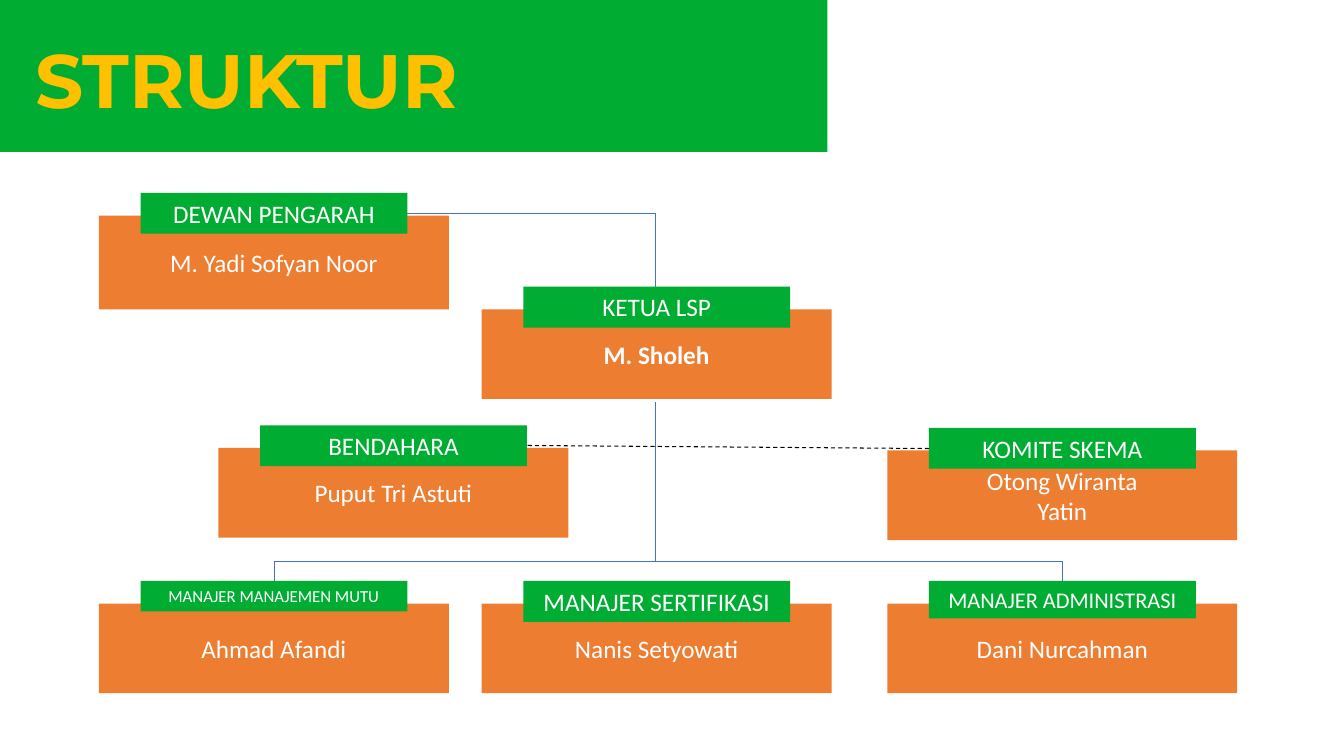
"""Builds the STRUKTUR organisation chart slide."""
from pptx import Presentation
from pptx.dml.color import RGBColor
from pptx.enum.dml import MSO_LINE
from pptx.enum.shapes import MSO_CONNECTOR as CONN, MSO_SHAPE as SHAPE
from pptx.enum.text import MSO_ANCHOR as ANCHOR, PP_ALIGN as ALIGN
from pptx.oxml.ns import qn
from pptx.util import Pt
from lxml.etree import SubElement

GREEN = RGBColor(0x00, 0xAC, 0x32)
ORANGE = RGBColor(0xED, 0x7D, 0x31)
YELLOW = RGBColor(0xFF, 0xC0, 0x00)
BLUE = RGBColor(0x44, 0x72, 0xC4)
WHITE = RGBColor(0xFF, 0xFF, 0xFF)
BLACK = RGBColor(0x00, 0x00, 0x00)

LEFT, MIDDLE, RIGHT = 70.6, 344, 633.8
MANAGERS_Y = 415
BOX_W, BOX_H = 250, 64
TAG_W, TAG_DX, TAG_DY = 190.6, 29.8, 16.2

# role, role size, people, bold, left, top of role tag, box height
POSTS = [
    ("DEWAN PENGARAH", 18, ["M. Yadi Sofyan Noor"], False, LEFT, 137.8, 67),
    ("KETUA LSP", 18, ["M. Sholeh"], True, MIDDLE, 204.8, BOX_H),
    ("KOMITE SKEMA", 18, ["Otong Wiranta", "Yatin"], False, RIGHT, 305.6, BOX_H),
    ("BENDAHARA", 18, ["Puput Tri Astuti"], False, 156, 303.8, BOX_H),
    ("MANAJER ADMINISTRASI", 16, ["Dani Nurcahman"], False, RIGHT, MANAGERS_Y, BOX_H),
    ("MANAJER SERTIFIKASI", 18, ["Nanis Setyowati"], False, MIDDLE, MANAGERS_Y, BOX_H),
    ("MANAJER MANAJEMEN MUTU", 12, ["Ahmad Afandi"], False, LEFT, MANAGERS_Y, BOX_H),
]

TRUNK_X, BRANCH_Y = 468.3, 401
TAG_MID = TAG_DX + TAG_W / 2
# start, end, bent, colour, width, dash
LINKS = [
    ((291, 152.4), (TRUNK_X, 204.8), True, BLUE, 0.5, None),
    ((TRUNK_X, BRANCH_Y), (RIGHT + TAG_MID, MANAGERS_Y), True, BLUE, 0.5, None),
    ((TRUNK_X, BRANCH_Y), (LEFT + TAG_MID, MANAGERS_Y), True, BLUE, 0.5, None),
    ((TRUNK_X, 287.3), (TRUNK_X, BRANCH_Y), False, BLUE, 0.5, None),
    ((663.6, 320.4), (376.6, 318.2), False, BLACK, 0.75, MSO_LINE.DASH),
]


def write(tf, lines, align, **font):
    tf.word_wrap = True
    for i, line in enumerate(lines):
        p = tf.add_paragraph() if i else tf.paragraphs[0]
        p.alignment = align
        r = p.add_run()
        r.text = line
        r.font.color.rgb = font["color"]
        for key in ("name", "size", "bold"):
            setattr(r.font, key, font[key])


def add_rect(s, x, y, w, h, color):
    sp = s.shapes.add_shape(SHAPE.RECTANGLE, Pt(x), Pt(y), Pt(w), Pt(h))
    sp.shadow.inherit = False
    sp.fill.solid()
    sp.fill.fore_color.rgb = color
    sp.line.fill.background()
    return sp


def add_post(s, role, size, people, bold, x, y, h):
    font = dict(name="Calibri", color=WHITE)
    tf = add_rect(s, x, y + TAG_DY, BOX_W, h, ORANGE).text_frame
    tf.vertical_anchor = ANCHOR.MIDDLE
    tf.margin_top = tf.margin_bottom = Pt(20)
    write(tf, people, ALIGN.CENTER, size=Pt(18), bold=bold, **font)
    tag_h = 1.22 * size + 7.2
    tf = add_rect(s, x + TAG_DX, y, TAG_W, tag_h, GREEN).text_frame
    tf.vertical_anchor = ANCHOR.TOP
    write(tf, [role], ALIGN.CENTER, size=Pt(size), bold=False, **font)


def add_link(s, start, end, bent, color, width, dash):
    kind = CONN.ELBOW if bent else CONN.STRAIGHT
    sp = s.shapes.add_connector(kind, *map(Pt, start + end))
    sp.line.color.rgb = color
    sp.line.width = Pt(width)
    if dash:
        sp.line.dash_style = dash
    props = sp._element.spPr
    if bent:
        props.find(qn("a:prstGeom")).set("prst", "bentConnector2")
    SubElement(props, qn("a:effectLst"))


def main():
    prs = Presentation()
    prs.slide_width, prs.slide_height = Pt(960), Pt(540)
    s = prs.slides.add_slide(prs.slide_layouts[6])
    add_rect(s, 0, 0, 591, 108.6, GREEN)
    title = s.shapes.add_textbox(Pt(18), Pt(20), Pt(509), Pt(73))
    write(title.text_frame, ["STRUKTUR"], ALIGN.LEFT,
          name="Montserrat", size=Pt(54), bold=True, color=YELLOW)
    for post in POSTS:
        add_post(s, *post)
    for link in LINKS:
        add_link(s, *link)
    prs.save("out.pptx")


if __name__ == "__main__":
    main()
